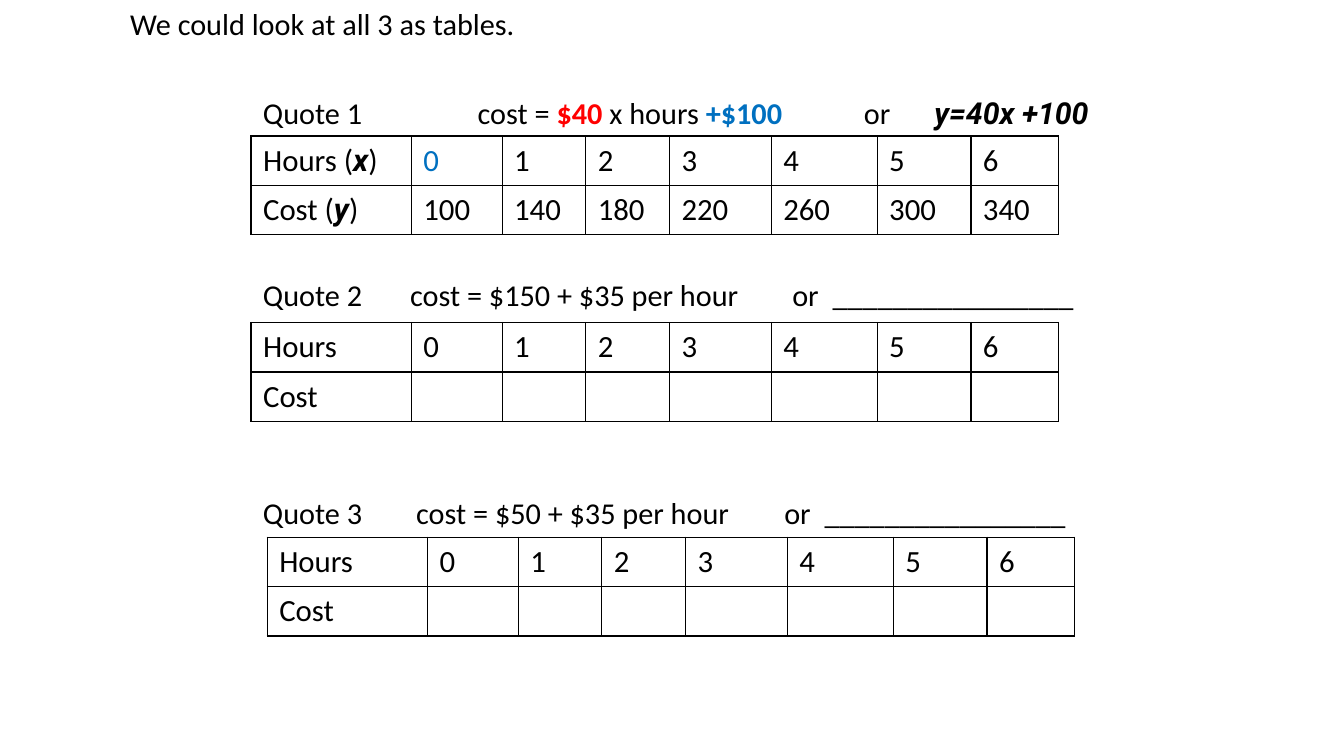
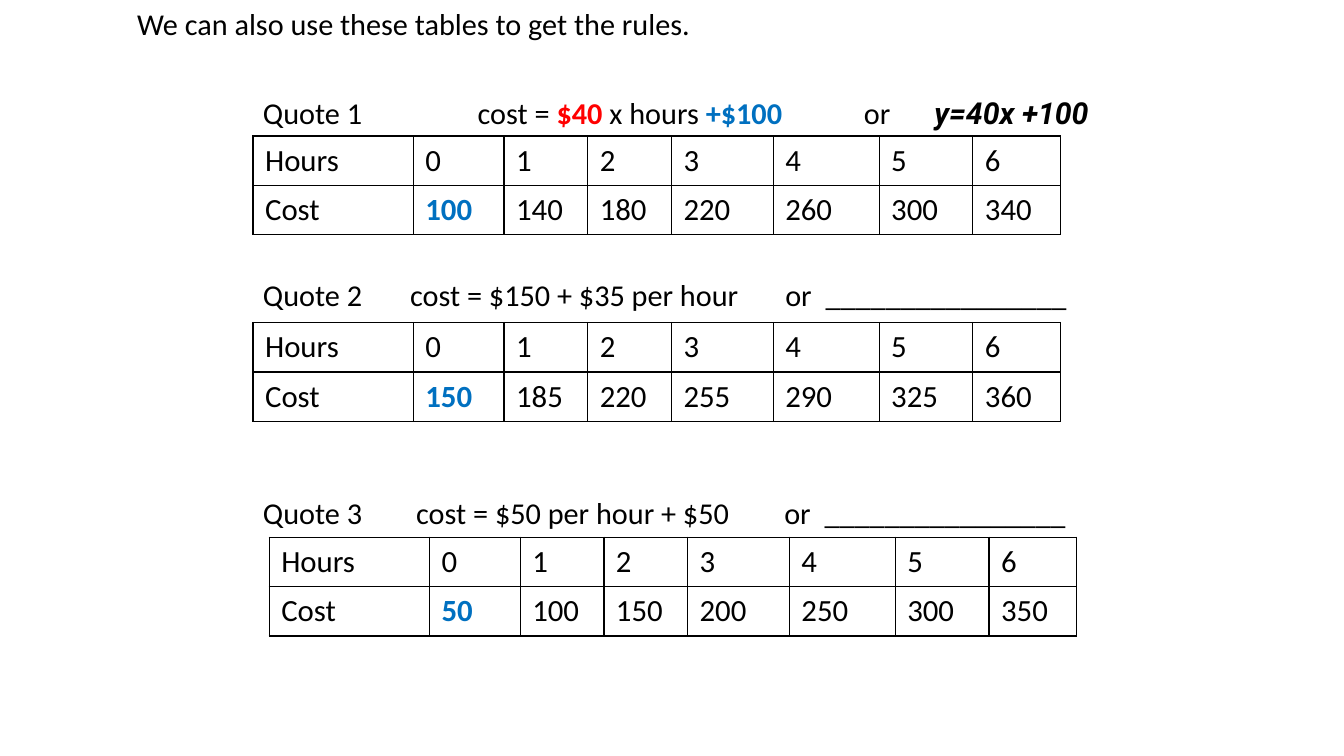
from lxml import etree
from pptx import Presentation
from pptx import util as u
from pptx.dml.color import RGBColor
from pptx.enum import text
from pptx.oxml.ns import qn

COLORS = {"ink": "000000", "rate": "FF0000", "start": "0070C0", "paper": "FFFFFF"}
BODY, MATH = "Calibri", "Roboto"
LINE_SIZE, CELL_SIZE = 21.6, 22

HOURS = [0, 1, 2, 3, 4, 5, 6]
COLUMNS = [1.59, 0.9, 0.83, 0.83, 1.01, 1.05, 0.93, 0.87]
ROW = 0.49
LINE_LEFT, LINE_WIDTH, LINE_HEIGHT = 2.51, 8.85, 0.46
LINE_TOPS = [0.89, 2.69, 4.85]
TABLE_TOPS = [1.35, 3.2, 5.33]

PLAIN = {}
RATE = {"color": "rate", "bold": True}
START = {"color": "start", "bold": True}
ZERO = {"color": "start"}
FORMULA = {"font": MATH, "bold": True, "italic": True}

BLANK = "________________"
QUOTE_1 = [
    ("Quote 1\tcost = ", PLAIN), ("$40 ", RATE), ("x hours ", PLAIN),
    ("+$100", START), ("\tor\t", PLAIN), ("y=40x +100", FORMULA),
]
TABS_1 = [2.13, 5.96, 6.66]


def open_quote(number, rule):
    return [(f"Quote {number}\t{rule}\tor\t{BLANK}", PLAIN)]


def variable_label(name, variable):
    return [(f"{name} (", PLAIN), (variable, FORMULA), (")", PLAIN)]


def plain_label(name):
    return [(name, PLAIN)]


def costs(first, step):
    return [first + step * hour for hour in HOURS]


NO_COSTS = [""] * len(HOURS)
PLAIN_LABELS = [plain_label("Hours"), plain_label("Cost")]
VARIABLE_LABELS = [variable_label("Hours", "x"), variable_label("Cost", "y")]

SLIDES = [
    {
        "title": "We could look at all 3 as tables.", "title_left": 1.19,
        "table_lefts": [2.49, 2.49, 2.65],
        "quotes": [
            (QUOTE_1, TABS_1, VARIABLE_LABELS, costs(100, 40), ZERO, PLAIN),
            (open_quote(2, "cost = $150 + $35 per hour"), [1.46, 5.25, 5.65],
             PLAIN_LABELS, NO_COSTS, PLAIN, PLAIN),
            (open_quote(3, "cost = $50 + $35 per hour"), [1.52, 5.17, 5.57],
             PLAIN_LABELS, NO_COSTS, PLAIN, PLAIN),
        ],
    },
    {
        "title": "We can also use these tables to get the rules.", "title_left": 1.26,
        "table_lefts": [2.51, 2.51, 2.67],
        "quotes": [
            (QUOTE_1, TABS_1, PLAIN_LABELS, costs(100, 40), PLAIN, START),
            (open_quote(2, "cost = $150 + $35 per hour"), [1.46, 5.18, 5.58],
             PLAIN_LABELS, costs(150, 35), PLAIN, START),
            (open_quote(3, "cost = $50 per hour + $50"), [1.52, 5.17, 5.57],
             PLAIN_LABELS, costs(50, 50), PLAIN, START),
        ],
    },
]


def add_runs(paragraph, runs, size):
    for words, style in runs:
        run = paragraph.add_run()
        run.text = words
        font = run.font
        font.size = u.Pt(size)
        font.name = style.get("font", BODY)
        font.bold = style.get("bold", False)
        font.italic = style.get("italic", False)
        font.color.rgb = RGBColor.from_string(COLORS[style.get("color", "ink")])


def add_title(slide, words, left):
    title = slide.shapes.title
    title.left, title.top = u.Inches(left), u.Inches(0)
    title.width, title.height = u.Inches(10.09), u.Inches(LINE_HEIGHT)
    frame = title.text_frame
    frame.auto_size = text.MSO_AUTO_SIZE.NONE
    frame.vertical_anchor = text.MSO_ANCHOR.TOP
    frame.paragraphs[0].alignment = text.PP_ALIGN.LEFT
    add_runs(frame.paragraphs[0], plain_label(words), LINE_SIZE)


def add_quote_line(slide, runs, tabs, top):
    line = slide.shapes.add_textbox(
        u.Inches(LINE_LEFT), u.Inches(top), u.Inches(LINE_WIDTH), u.Inches(LINE_HEIGHT))
    line.text_frame.word_wrap = True
    paragraph = line.text_frame.paragraphs[0]
    stops = etree.SubElement(paragraph._p.get_or_add_pPr(), qn("a:tabLst"))
    for position in tabs:
        etree.SubElement(stops, qn("a:tab"), pos=str(u.Inches(position)), algn="l")
    add_runs(paragraph, runs, LINE_SIZE)


def add_borders(cell):
    properties = cell._tc.get_or_add_tcPr()
    for index, side in enumerate(("a:lnL", "a:lnR", "a:lnT", "a:lnB")):
        border = etree.Element(qn(side), w=str(u.Pt(1)))
        fill = etree.SubElement(border, qn("a:solidFill"))
        etree.SubElement(fill, qn("a:srgbClr"), val=COLORS["ink"])
        properties.insert(index, border)


def add_cost_table(slide, left, top, labels, amounts, hour_style, cost_style):
    rows = [(labels[0], HOURS, hour_style), (labels[1], amounts, cost_style)]
    table = slide.shapes.add_table(
        len(rows), len(COLUMNS), u.Inches(left), u.Inches(top),
        u.Inches(sum(COLUMNS)), u.Inches(ROW * len(rows))).table
    table.first_row = table.horz_banding = False
    for column, width in zip(table.columns, COLUMNS):
        column.width = u.Inches(width)
    for row, (label, values, first_style) in zip(table.rows, rows):
        row.height = u.Inches(ROW)
        styles = [first_style] + [PLAIN] * (len(values) - 1)
        contents = [label] + [[(str(v), s)] for v, s in zip(values, styles)]
        for cell, runs in zip(row.cells, contents):
            cell.margin_left = cell.margin_right = u.Inches(0.12)
            cell.margin_top = cell.margin_bottom = u.Inches(0.06)
            cell.fill.background()
            add_borders(cell)
            add_runs(cell.text_frame.paragraphs[0], [r for r in runs if r[0]], CELL_SIZE)


def main():
    deck = Presentation()
    deck.slide_width, deck.slide_height = u.Inches(13.33), u.Inches(7.5)
    background = deck.slide_master.background.fill
    background.solid()
    background.fore_color.rgb = RGBColor.from_string(COLORS["paper"])
    for content in SLIDES:
        slide = deck.slides.add_slide(deck.slide_layouts[5])
        add_title(slide, content["title"], content["title_left"])
        places = zip(content["quotes"], LINE_TOPS, content["table_lefts"], TABLE_TOPS)
        for (runs, tabs, *table_parts), line_top, left, table_top in places:
            add_quote_line(slide, runs, tabs, line_top)
            add_cost_table(slide, left, table_top, *table_parts)
    deck.save("out.pptx")


if __name__ == "__main__":
    main()
